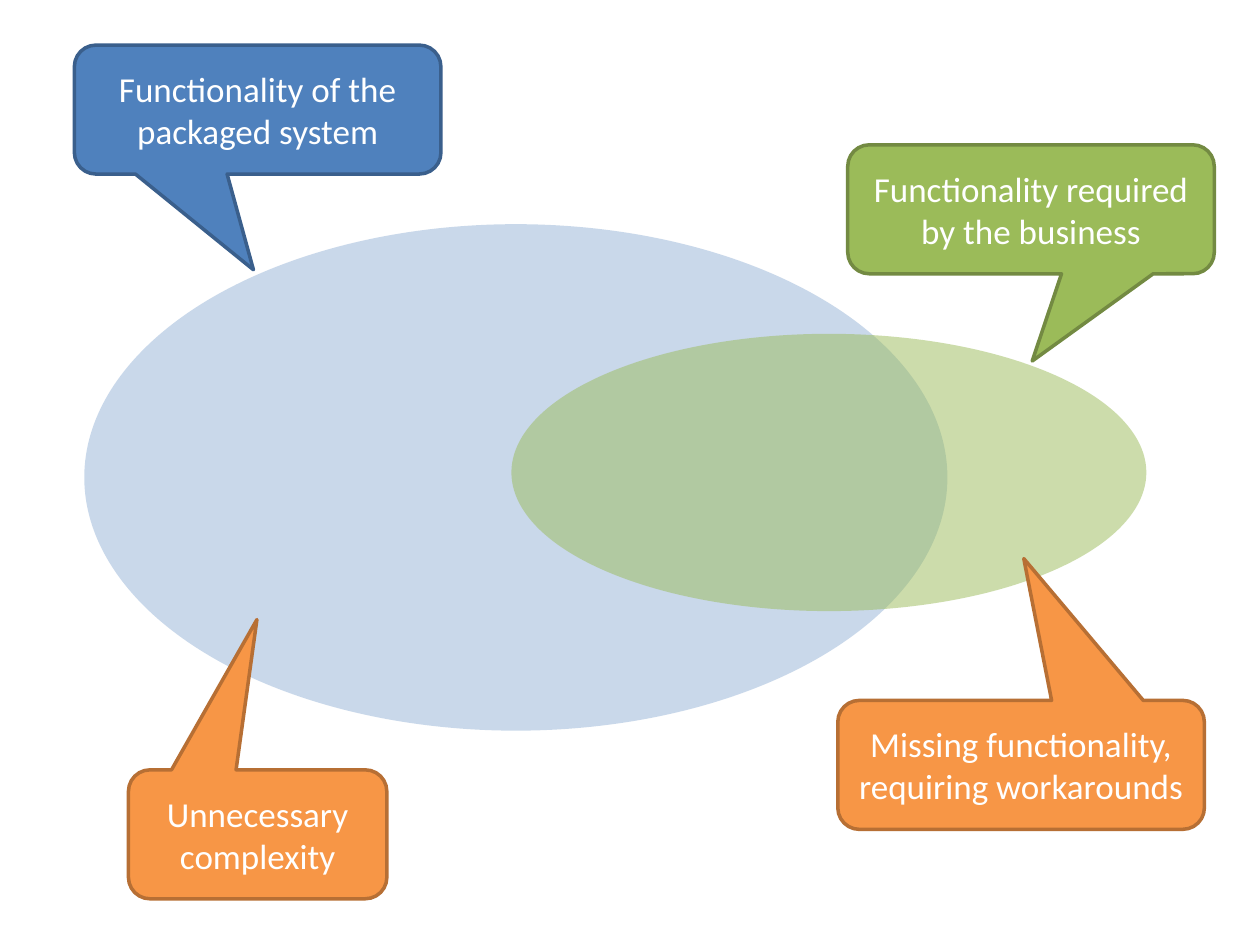
import dataclasses

import pptx
import pptx.dml.color
import pptx.enum.shapes
import pptx.enum.text
import pptx.oxml.ns
import pptx.util
from lxml import etree

Cm = pptx.util.Cm
Pt = pptx.util.Pt
Kind = pptx.enum.shapes.MSO_SHAPE


@dataclasses.dataclass(frozen=True)
class Theme:
    """Colours and type of the slide."""
    # Each callout colour is a pair of fill and line
    blue: tuple = ("4F81BD", "3A5F8C")
    green: tuple = ("9BBB59", "738A42")
    orange: tuple = ("F79646", "B76F34")
    pale: str = "95B3D7"
    text: str = "FFFFFF"
    font: str = "Calibri"
    size: int = 20
    line: int = 2
    alpha: int = 50


THEME = Theme()
HIGH = 2.6
WIDE = 7.39


def color(code):
    """Turn a hex code into a colour."""
    return pptx.dml.color.RGBColor.from_string(code)


def add_shape(slide, kind, box, fill):
    """Add a flat filled shape; box is left, top, width, height in cm."""
    shape = slide.shapes.add_shape(kind, *map(Cm, box))
    shape.shadow.inherit = False
    shape.fill.solid()
    shape.fill.fore_color.rgb = color(fill)
    return shape


def add_oval(slide, box, fill):
    """Add a see-through ellipse without an outline."""
    oval = add_shape(slide, Kind.OVAL, box, fill)
    oval.line.fill.background()
    qn = pptx.oxml.ns.qn
    tint = oval.element.spPr.find(qn("a:solidFill")).find(qn("a:srgbClr"))
    etree.SubElement(tint, qn("a:alpha"), val=str(THEME.alpha * 1000))


def add_callout(slide, text, box, tip, tone):
    """Add a rounded callout whose tail ends at tip, in cm on the slide."""
    fill, edge = tone
    left, top, width, height = box
    note = add_shape(slide, Kind.ROUNDED_RECTANGULAR_CALLOUT, box, fill)
    note.adjustments[0] = (tip[0] - left) / width - 0.5
    note.adjustments[1] = (tip[1] - top) / height - 0.5
    note.adjustments[2] = 0.167
    note.line.color.rgb = color(edge)
    note.line.width = Pt(THEME.line)

    frame = note.text_frame
    frame.word_wrap = True
    frame.vertical_anchor = pptx.enum.text.MSO_ANCHOR.MIDDLE
    para = frame.paragraphs[0]
    para.alignment = pptx.enum.text.PP_ALIGN.CENTER
    run = para.add_run()
    run.text = text
    run.font.name = THEME.font
    run.font.size = Pt(THEME.size)
    run.font.color.rgb = color(THEME.text)


def main():
    """Build and save the slide."""
    deck = pptx.Presentation()
    deck.slide_width, deck.slide_height = Cm(25.4), Cm(19.05)
    slide = deck.slides.add_slide(deck.slide_layouts[6])

    add_oval(slide, (1.7, 4.52, 17.4, 10.21), THEME.pale)
    add_oval(slide, (10.31, 6.73, 12.8, 5.59), THEME.green[0])

    notes = (
        ("Functionality of the packaged system",
         (1.5, 0.91, WIDE, HIGH), (5.11, 5.44), THEME.blue),
        ("Functionality required by the business",
         (17.09, 2.92, WIDE, HIGH), (20.81, 7.28), THEME.green),
        ("Missing functionality, requiring workarounds",
         (16.89, 14.12, WIDE, HIGH), (20.64, 11.26), THEME.orange),
        ("Unnecessary complexity",
         (2.59, 15.52, 5.21, HIGH), (5.18, 12.49), THEME.orange),
    )
    for note in notes:
        add_callout(slide, *note)

    deck.save("out.pptx")


main()
